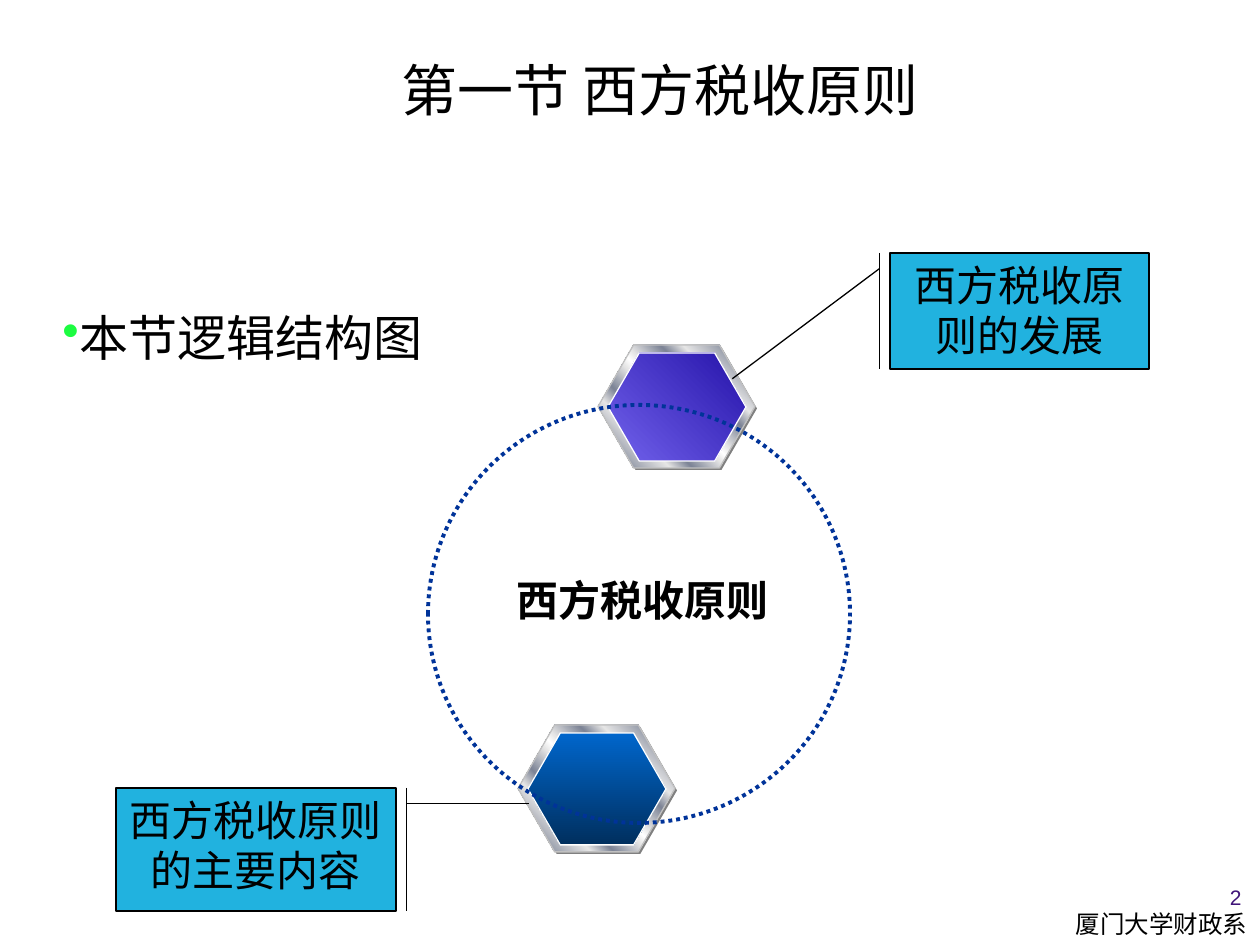
"""Build the slide on western tax principles."""
from lxml import etree
from pptx import Presentation
from pptx.dml.color import RGBColor
from pptx.enum.dml import MSO_LINE
from pptx.enum.shapes import MSO_SHAPE
from pptx.enum.text import MSO_ANCHOR, MSO_AUTO_SIZE, PP_ALIGN
from pptx.oxml.ns import qn
from pptx.util import Emu, Pt

HEX, OVAL = MSO_SHAPE.HEXAGON, MSO_SHAPE.OVAL
CALLOUT = MSO_SHAPE.LINE_CALLOUT_1_BORDER_AND_ACCENT_BAR
TOP, MID = MSO_ANCHOR.TOP, MSO_ANCHOR.MIDDLE
LEFT, CENTER, RIGHT = PP_ALIGN.LEFT, PP_ALIGN.CENTER, PP_ALIGN.RIGHT
DOT = MSO_LINE.ROUND_DOT
BLACK = RGBColor(0, 0, 0)
WHITE = RGBColor(255, 255, 255)
GRAY = RGBColor(0x80, 0x80, 0x80)
SILVER = RGBColor(0xC0, 0xC0, 0xC0)
NAVY = RGBColor(0x00, 0x33, 0x99)
CYAN = RGBColor(0x21, 0xB2, 0xDF)
PURPLE = RGBColor(0x40, 0x15, 0x79)
GREEN = RGBColor(0x1C, 0xFC, 0x41)
PALE = RGBColor(0xE6, 0xE6, 0xE6)
STEEL = RGBColor(0x7D, 0x84, 0x96)
VIOLET = RGBColor(0x72, 0x62, 0xEC)
INDIGO = RGBColor(0x26, 0x14, 0xAA)
BLUE = RGBColor(0x00, 0x66, 0xCC)
DEEP = RGBColor(0x00, 0x2F, 0x5E)
SANS, CJK = "Arial", "Noto Sans CJK SC"
PX = 914400 / 126

METAL = [(0, PALE), (8, STEEL), (26, PALE), (34, STEEL), (46, PALE), (50, WHITE),
         (54, PALE), (66, STEEL), (74, PALE), (92, STEEL), (100, PALE)]


def write(shape, text, size, align=CENTER, color=BLACK, anchor=TOP, face=SANS, bold=False):
    frame = shape.text_frame
    frame.word_wrap = True
    frame.auto_size = MSO_AUTO_SIZE.NONE
    frame.vertical_anchor = anchor
    frame.text = text
    para = frame.paragraphs[0]
    para.alignment = align
    font = para.runs[0].font
    for key, val in {"size": Pt(size), "name": face, "bold": bold}.items():
        setattr(font, key, val)
    font.color.rgb = color
    return para


def draw(shapes, kind, box, fill=None, line=None, width=0.75, angle=0):
    shape = shapes.add_shape(kind, *[Emu(round(v * PX)) for v in box])
    shape.shadow.inherit = False
    if isinstance(fill, list):
        shape.fill.gradient()
        grad = shape._element.spPr.find(qn("a:gradFill"))
        stops = grad.find(qn("a:gsLst"))
        for old in list(stops):
            stops.remove(old)
        for pos, color in fill:
            stop = etree.SubElement(stops, qn("a:gs"), pos=str(pos * 1000))
            etree.SubElement(stop, qn("a:srgbClr"), val=str(color))
        grad.find(qn("a:lin")).set("ang", str(angle * 60000))
    elif fill is None:
        shape.fill.background()
    else:
        shape.fill.solid()
        shape.fill.fore_color.rgb = fill
    if line is None:
        shape.line.fill.background()
    else:
        shape.line.color.rgb = line
        shape.line.width = Pt(width)
    return shape


prs = Presentation()
prs.slide_width, prs.slide_height = Emu(round(1260 * PX)), Emu(round(945 * PX))
slide = prs.slides.add_slide(prs.slide_layouts[5])

title = slide.shapes.title
place = {"left": 242, "top": 49, "width": 837, "height": 147}
for key, val in place.items():
    setattr(title, key, Emu(round(val * PX)))
write(title, "第一节 西方税收原则", 32)

gems = [
    (598, 345, 123, 108, [(0, VIOLET), (100, INDIGO)], 315),
    (518, 725, 127, 112, [(0, BLUE), (100, DEEP)], 90),
]
for x, y, rim, core, tint, turn in gems:
    group = slide.shapes.add_group_shape().shapes
    layers = [
        ((x + 2, y + 2, 157, rim), GRAY, None, 0),
        ((x, y, 157, rim), METAL, SILVER, 315),
        ((x + 10, y + 8, 138, core), tint, WHITE, turn),
    ]
    for box, fill, line, angle in layers:
        draw(group, HEX, box, fill, line, angle=angle).adjustments[0] = 0.289

ring = draw(slide.shapes, OVAL, (428, 405, 422, 418), None, NAVY, 2.25)
ring.line.dash_style = DOT

notes = [
    ("西方税收原则的发展", (890, 253, 259, 116), (0.136, -0.041, 1.085, -0.609)),
    ("西方税收原则的主要内容", (116, 788, 280, 123), (0.128, 1.038, 0.128, 1.474)),
]
for text, box, bends in notes:
    note = draw(slide.shapes, CALLOUT, box, CYAN, BLACK)
    for i, bend in enumerate(bends):
        note.adjustments[i] = bend
    write(note, text, 24)

labels = [
    ("本节逻辑结构图", (50, 301, 500, 80), 28, LEFT, BLACK, TOP, SANS, False),
    ("西方税收原则", (493, 568, 299, 63), 24, CENTER, BLACK, TOP, SANS, True),
    ("2", (1176, 872, 78, 50), 12, RIGHT, PURPLE, MID, SANS, False),
    ("厦门大学财政系", (771, 903, 489, 42), 14, RIGHT, BLACK, TOP, CJK, False),
]
paras = []
for text, box, *style in labels:
    label = slide.shapes.add_textbox(*[Emu(round(v * PX)) for v in box])
    paras.append(write(label, text, *style))

props = paras[0]._p.get_or_add_pPr()
tint = etree.SubElement(props, qn("a:buClr"))
etree.SubElement(tint, qn("a:srgbClr"), val=str(GREEN))
etree.SubElement(props, qn("a:buChar"), char="•")

prs.save("out.pptx")
